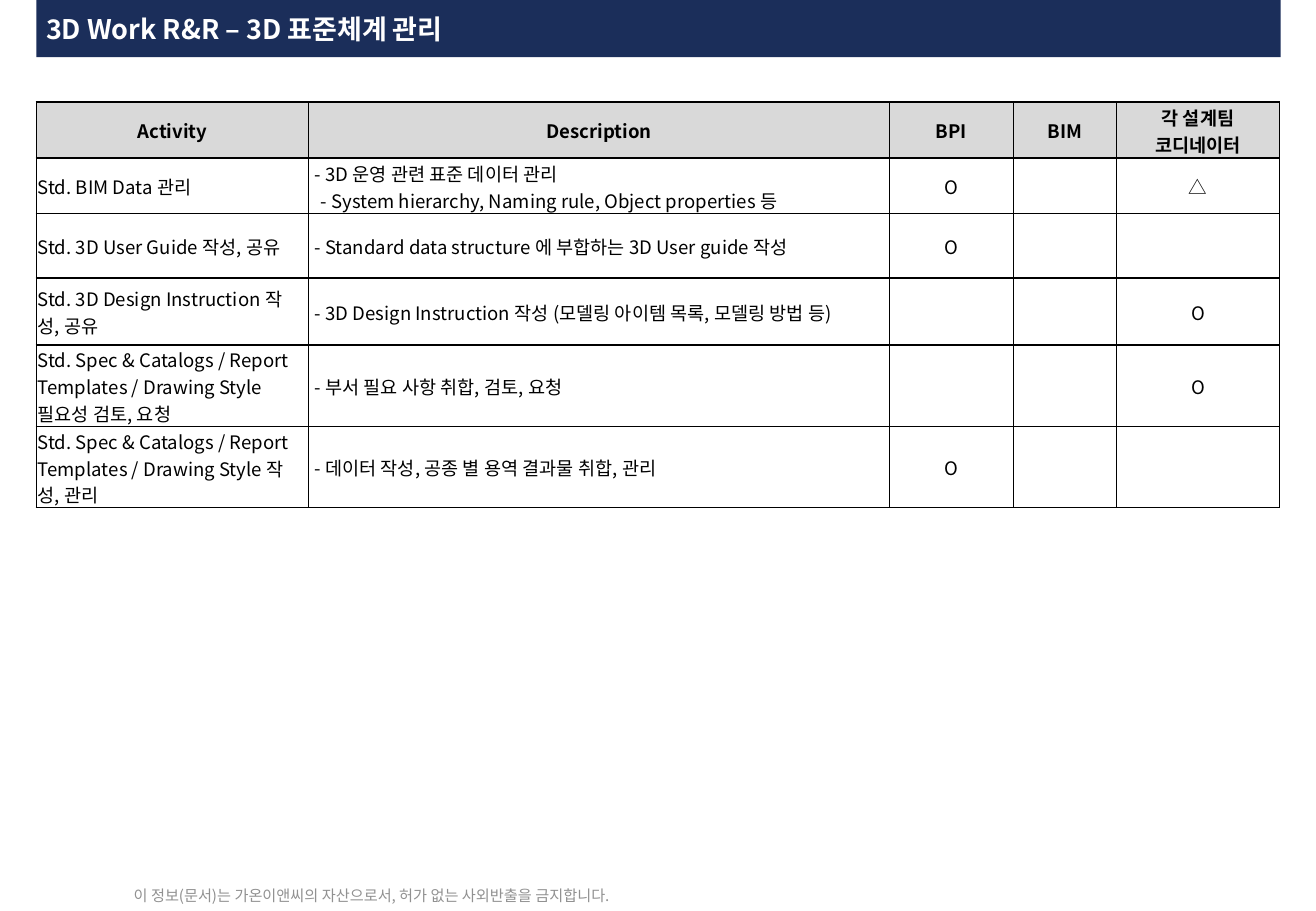
from lxml import etree
from pptx import Presentation
from pptx.dml.color import RGBColor
from pptx.enum.shapes import MSO_SHAPE
from pptx.enum.text import MSO_ANCHOR, PP_ALIGN
from pptx.oxml.ns import qn
from pptx.util import Inches, Pt

FONT = "Noto Sans CJK KR"
RECTANGLE = MSO_SHAPE.RECTANGLE
MIDDLE = MSO_ANCHOR.MIDDLE
LEFT = PP_ALIGN.LEFT
CENTER = PP_ALIGN.CENTER
NAVY, GREY, BLACK, WHITE, FOOTER = "1B2E5A", "D9D9D9", "000000", "FFFFFF", "919191"

COLUMN_WIDTHS = [2.24, 4.78, 1.02, 0.85, 1.34]
ROW_HEIGHTS = [0.46, 0.46, 0.53, 0.55, 0.67, 0.67]
ROWS = [
    ["Activity", "Description", "BPI", "BIM", "각 설계팀\n코디네이터"],
    ["Std. BIM Data 관리",
     "- 3D 운영 관련 표준 데이터 관리\n- System hierarchy, Naming rule, Object properties 등",
     "O", "", "△"],
    ["Std. 3D User Guide 작성, 공유",
     "- Standard data structure 에 부합하는 3D User guide 작성", "O", "", ""],
    ["Std. 3D Design Instruction 작성, 공유",
     "- 3D Design Instruction 작성 (모델링 아이템 목록, 모델링 방법 등)", "", "", "O"],
    ["Std. Spec & Catalogs / Report Templates / Drawing Style\v필요성 검토, 요청",
     "- 부서 필요 사항 취합, 검토, 요청", "", "", "O"],
    ["Std. Spec & Catalogs / Report Templates / Drawing Style 작성, 관리",
     "- 데이터 작성, 공종 별 용역 결과물 취합, 관리", "O", "", ""],
]


def color(value):
    return RGBColor.from_string(value)


def format_text(text_frame, size, font_color, bold=False, alignment=LEFT):
    for paragraph in text_frame.paragraphs:
        paragraph.alignment = alignment
        paragraph._p.get_or_add_pPr().set("hangingPunct", "0")
        for run in paragraph.runs:
            run.font.name = FONT
            run.font.size = Pt(size)
            run.font.bold = bold
            run.font.color.rgb = color(font_color)
            east_asian = etree.SubElement(run.font._element, qn("a:ea"))
            east_asian.set("typeface", FONT)


def add_band(slide, left, top, width, height):
    band = slide.shapes.add_shape(
        RECTANGLE, Inches(left), Inches(top), Inches(width), Inches(height))
    band.shadow.inherit = False
    band.fill.solid()
    band.fill.fore_color.rgb = color(NAVY)
    band.line.fill.background()


def add_text(slide, text, left, top, width, height, size, font_color,
             bold=False, margin=0):
    box = slide.shapes.add_textbox(
        Inches(left), Inches(top), Inches(width), Inches(height))
    text_frame = box.text_frame
    text_frame.word_wrap = True
    text_frame.vertical_anchor = MIDDLE
    text_frame.margin_left = text_frame.margin_right = Inches(margin)
    text_frame.margin_top = text_frame.margin_bottom = Inches(margin / 2)
    text_frame.text = text
    format_text(text_frame, size, font_color, bold)
    return text_frame


def set_borders(cell):
    properties = cell._tc.get_or_add_tcPr()
    for position, side in enumerate(("lnL", "lnR", "lnT", "lnB")):
        line = etree.Element(qn(f"a:{side}"), w=str(Pt(1)))
        fill = etree.SubElement(line, qn("a:solidFill"))
        etree.SubElement(fill, qn("a:srgbClr"), val=BLACK)
        properties.insert(position, line)


def fill_cell(cell, text, row, column):
    is_header = row == 0
    is_activity = column == 0 and not is_header
    is_description = column == 1 and not is_header
    cell.text = text
    cell.vertical_anchor = MIDDLE
    cell.margin_left = Inches(0.05 if is_description else 0.01)
    cell.margin_right = Inches(0.06 if is_activity else 0.01)
    cell.margin_top = Inches(0.01)
    cell.margin_bottom = 0
    cell.fill.solid()
    cell.fill.fore_color.rgb = color(GREY if is_header else WHITE)
    alignment = CENTER if is_header or column > 1 else LEFT
    format_text(cell.text_frame, 11, BLACK, is_header, alignment)
    if is_description:
        for paragraph in cell.text_frame.paragraphs[1:]:
            paragraph._p.get_or_add_pPr().set("marL", str(Inches(0.05)))
    set_borders(cell)


def add_responsibility_table(slide, left, top):
    table = slide.shapes.add_table(
        len(ROWS), len(COLUMN_WIDTHS), Inches(left), Inches(top),
        Inches(sum(COLUMN_WIDTHS)), Inches(sum(ROW_HEIGHTS))).table
    for column, width in zip(table.columns, COLUMN_WIDTHS):
        column.width = Inches(width)
    for row, height in zip(table.rows, ROW_HEIGHTS):
        row.height = Inches(height)
    for row, texts in enumerate(ROWS):
        for column, text in enumerate(texts):
            fill_cell(table.cell(row, column), text, row, column)


def main():
    presentation = Presentation()
    presentation.slide_width = Inches(10.83)
    presentation.slide_height = Inches(7.5)
    slide = presentation.slides.add_slide(presentation.slide_layouts[6])
    add_band(slide, 0.3, 0, 10.24, 0.47)
    notice = add_text(
        slide, "이 정보(문서)는 가온이앤씨의 자산으로서, 허가 없는 사외반출을 금지합니다.",
        1.1, 7.28, 4.6, 0.17, 9, FOOTER)
    notice.paragraphs[0].line_spacing = 1.1
    add_text(slide, "3D Work R&R – 3D 표준체계 관리",
             0.3, 0.06, 5, 0.35, 16, WHITE, True, 0.08)
    add_responsibility_table(slide, 0.3, 0.84)
    presentation.save("out.pptx")


if __name__ == "__main__":
    main()
